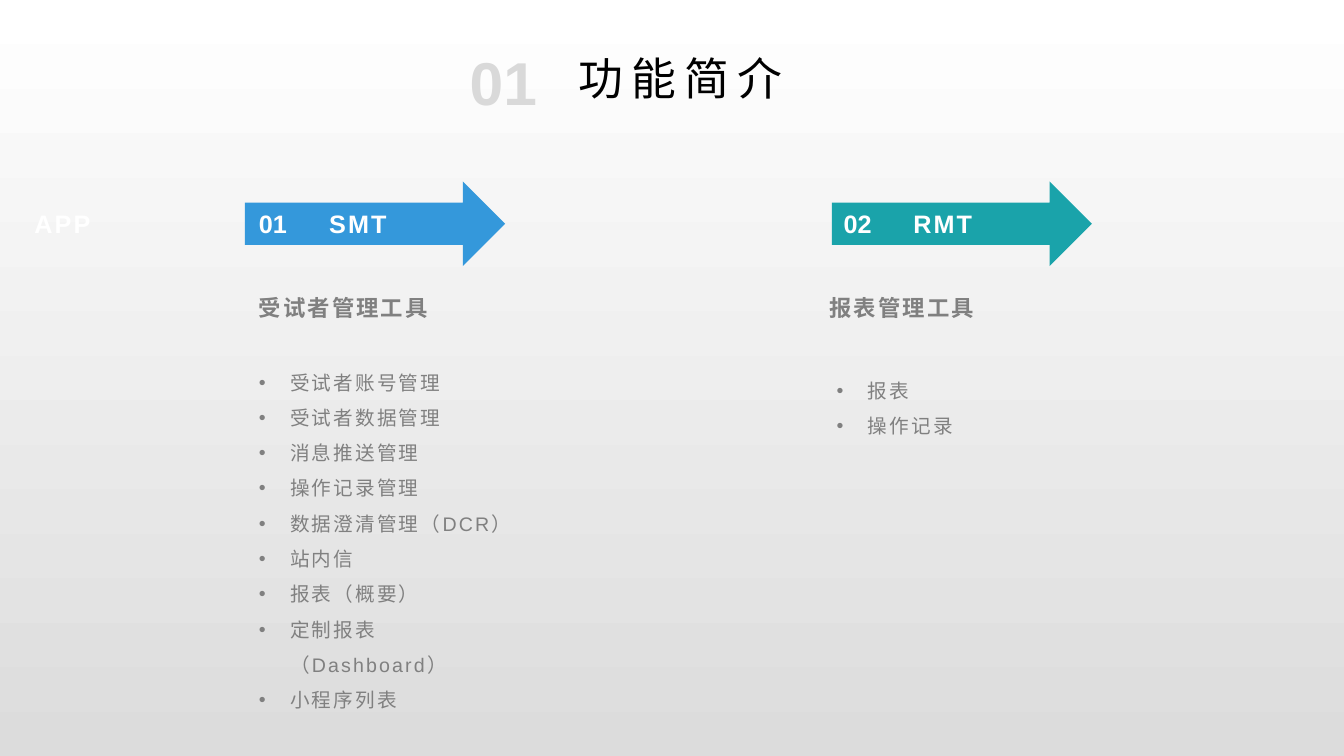
from lxml import etree
from pptx import Presentation
from pptx.dml.color import RGBColor
from pptx.enum import shapes, text
from pptx.oxml import ns
from pptx.util import Inches, Pt

COLORS = {
    "blue": "3498DB", "teal": "1AA3AA", "white": "FFFFFF", "black": "000000",
    "gray": "808080", "pale": "D9D9D9", "shade": "DCDCDC",
}
LABEL = {"size": Pt(18), "bold": True}
HEADING = {"size": Pt(16), "bold": True}
BODY = {"size": Pt(14), "bold": False}
LEFT, CENTER = text.PP_ALIGN.LEFT, text.PP_ALIGN.CENTER


def write(shape, lines, formats, color, spacing=0, align=LEFT, bullets=False):
    frame = shape.text_frame
    frame.word_wrap = True
    frame.auto_size = text.MSO_AUTO_SIZE.NONE
    frame.text = "\n".join(lines)
    for paragraph in frame.paragraphs:
        paragraph.alignment = align
        font = paragraph.runs[0].font
        for name, value in {"name": "Arial", **formats}.items():
            setattr(font, name, value)
        font.color.rgb = RGBColor.from_string(COLORS[color])
        paragraph.runs[0]._r.get_or_add_rPr().set("spc", str(int(spacing * 100)))
        if bullets:
            paragraph.line_spacing = 1.5
            properties = paragraph._p.get_or_add_pPr()
            properties.set("marL", str(Inches(0.31)))
            properties.set("indent", str(-Inches(0.31)))
            etree.SubElement(properties, ns.qn("a:buFont")).set("typeface", "Arial")
            etree.SubElement(properties, ns.qn("a:buChar")).set("char", "•")


def add_text(box, lines, formats, color, **options):
    shape = slide.shapes.add_textbox(*map(Inches, box))
    write(shape, lines, formats, color, **options)
    return shape


presentation = Presentation()
presentation.slide_width = Inches(13.33)
presentation.slide_height = Inches(7.5)
slide = presentation.slides.add_slide(presentation.slide_layouts[5])

background = slide.background.fill
background.gradient()
background.gradient_angle = 270
for stop, position, color in zip(background.gradient_stops, (0, 1), ("white", "shade")):
    stop.position = position
    stop.color.rgb = RGBColor.from_string(COLORS[color])

title = slide.shapes.title
title_format = {"left": 0.78, "top": 0.44, "width": 11.87, "height": 0.65}
for name, value in title_format.items():
    setattr(title, name, Inches(value))
write(title, ["功能简介"], {"size": Pt(32)}, "black", spacing=6, align=CENTER)
title.text_frame.margin_right = Inches(0.03)
title.text_frame.vertical_anchor = text.MSO_ANCHOR.MIDDLE

add_text((0.02, 2.02, 1.2, 0.4), ["APP"], LABEL, "white", spacing=1.5, align=CENTER)

tools = [
    {
        "number": "01", "label": "SMT", "heading": "受试者管理工具", "color": "blue",
        "arrow_left": 2.43, "number_left": 2.47, "label_box": (2.95, 2.02, 1.2, 0.4),
        "heading_left": 2.47, "list_box": (2.47, 3.51, 2.9, 3.28),
        "items": ["受试者账号管理", "受试者数据管理", "消息推送管理", "操作记录管理",
                  "数据澄清管理（DCR）", "站内信", "报表（概要）",
                  "定制报表 （Dashboard）", "小程序列表"],
    },
    {
        "number": "02", "label": "RMT", "heading": "报表管理工具", "color": "teal",
        "arrow_left": 8.25, "number_left": 8.27, "label_box": (8.79, 2.02, 1.12, 0.4),
        "heading_left": 8.13, "list_box": (8.2, 3.59, 2.3, 0.81),
        "items": ["报表", "操作记录"],
    },
]
for tool in tools:
    arrow = slide.shapes.add_shape(
        shapes.MSO_SHAPE.RIGHT_ARROW,
        Inches(tool["arrow_left"]), Inches(1.8), Inches(2.58), Inches(0.84))
    arrow.shadow.inherit = False
    arrow.fill.solid()
    arrow.fill.fore_color.rgb = RGBColor.from_string(COLORS[tool["color"]])
    arrow.line.fill.background()
    add_text((tool["number_left"], 2.02, 0.53, 0.4), [tool["number"]], LABEL, "white")
    add_text(tool["label_box"], [tool["label"]], LABEL, "white", spacing=1.5, align=CENTER)
    add_text((tool["heading_left"], 2.87, 2.3, 0.37), [tool["heading"]], HEADING, "gray",
             spacing=1.5)
    add_text(tool["list_box"], tool["items"], BODY, "gray", spacing=1.5, bullets=True)

section = add_text((4.56, 0.22, 1.11, 1.03), ["01"], {"size": Pt(43.2), "bold": True}, "pale")
section.text_frame.vertical_anchor = text.MSO_ANCHOR.MIDDLE
section.text_frame.paragraphs[0].line_spacing = 1.2
section.text_frame.paragraphs[0].space_before = Pt(10)

presentation.save("out.pptx")
